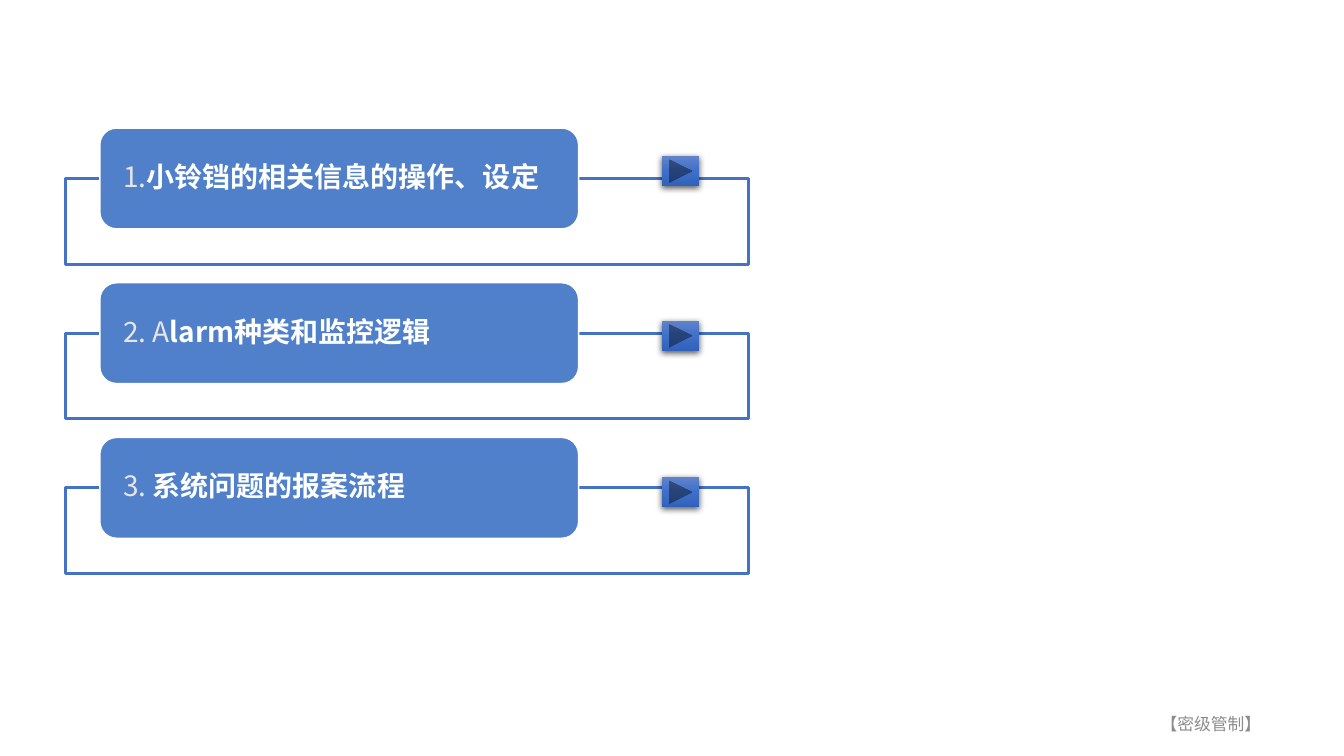
from dataclasses import dataclass

from lxml import etree
from pptx import Presentation
from pptx.dml.color import RGBColor
from pptx.enum import shapes, text
from pptx.oxml import ns
from pptx.util import Pt


@dataclass(frozen=True)
class Theme:
    font: str = "Noto Sans CJK SC"
    white: str = "FFFFFF"
    frame: str = "4472C4"
    pill: str = "4F80C9"
    number: str = "E7E6E6"
    footer: str = "8C8C8C"
    shadow: str = "000000"
    gradient: tuple = ((0, "6183CB"), (50, "3E70CA"), (100, "3062BB"))
    topic_size: int = 20
    footer_size: int = 12


THEME = Theme()
ROW_PITCH = 110.5
TOPICS = [
    ("1.", "小铃铛的相关信息的操作、设定", 111.4),
    ("2. A", "larm种类和监控逻辑", 229),
    ("3. ", "系统问题的报案流程", 340.8),
]


def sub(parent, tag, **attrs):
    return etree.SubElement(parent, ns.qn(tag), {k: str(v) for k, v in attrs.items()})


def add_box(slide, kind, left, top, width, height):
    sp = slide.shapes.add_shape(kind, Pt(left), Pt(top), Pt(width), Pt(height))
    sp.shadow.inherit = False
    return sp


def paint(sp, fill, line, weight):
    sp.fill.solid()
    sp.fill.fore_color.rgb = RGBColor.from_string(fill)
    sp.line.color.rgb = RGBColor.from_string(line)
    sp.line.width = Pt(weight)


def add_label(slide, box, runs, size, margin, align):
    sp = slide.shapes.add_textbox(*(Pt(v) for v in box))
    tf = sp.text_frame
    tf.word_wrap = True
    tf.vertical_anchor = text.MSO_ANCHOR.MIDDLE
    tf.margin_left = tf.margin_right = Pt(margin)
    tf.margin_top = tf.margin_bottom = 0
    p = tf.paragraphs[0]
    p.alignment = align
    for words, color, bold in runs:
        r = p.add_run()
        r.text = words
        r.font.size = Pt(size)
        r.font.bold = bold
        r.font.name = THEME.font
        r.font.color.rgb = RGBColor.from_string(color)
        sub(r.font._element, "a:ea", typeface=THEME.font)
    return p


def add_topic(slide, top, number, title):
    frame = add_box(slide, shapes.MSO_SHAPE.RECTANGLE, 46.8, top + 36, 488, 61.2)
    paint(frame, THEME.white, THEME.frame, 2.25)
    color = frame._element.spPr.find(ns.qn("a:solidFill"))[0]
    sub(color, "a:alpha", val=90000)
    pill = add_box(slide, shapes.MSO_SHAPE.ROUNDED_RECTANGLE, 71.3, top, 342, 72)
    paint(pill, THEME.pill, THEME.white, 1)
    runs = [(number, THEME.number, False), (title, THEME.white, True)]
    p = add_label(slide, (74.9, top + 3.6, 334.8, 64.8), runs,
                  THEME.topic_size, 13, text.PP_ALIGN.LEFT)
    p.line_spacing = 0.9
    p.space_after = Pt(7)


def add_next_button(slide, top):
    sp = add_box(slide, shapes.MSO_SHAPE.ACTION_BUTTON_FORWARD_OR_NEXT,
                 473, top, 26.6, 21.6)
    sp.line.fill.background()
    sp.fill.background()
    spPr = sp._element.spPr
    grad = etree.Element(ns.qn("a:gradFill"), rotWithShape="1")
    stops = sub(grad, "a:gsLst")
    for pos, color in THEME.gradient:
        sub(sub(stops, "a:gs", pos=pos * 1000), "a:srgbClr", val=color)
    sub(grad, "a:lin", ang=5400000, scaled=0)
    spPr.replace(spPr.find(ns.qn("a:noFill")), grad)
    shadow = sub(spPr.find(ns.qn("a:effectLst")), "a:outerShdw", blurRad=Pt(4.5),
                 dist=Pt(1.5), dir=5400000, algn="ctr", rotWithShape=0)
    sub(sub(shadow, "a:srgbClr", val=THEME.shadow), "a:alpha", val=63000)


def main():
    prs = Presentation()
    prs.slide_width, prs.slide_height = Pt(960), Pt(540)
    slide = prs.slides.add_slide(prs.slide_layouts[6])
    add_label(slide, (726, 506.2, 182, 21.6), [("【密级管制】", THEME.footer, False)],
              THEME.footer_size, 7.2, text.PP_ALIGN.RIGHT)
    for row, (number, title, _) in enumerate(TOPICS):
        add_topic(slide, 91.5 + row * ROW_PITCH, number, title)
    for _, _, button_top in TOPICS:
        add_next_button(slide, button_top)
    prs.save("out.pptx")


if __name__ == "__main__":
    main()
